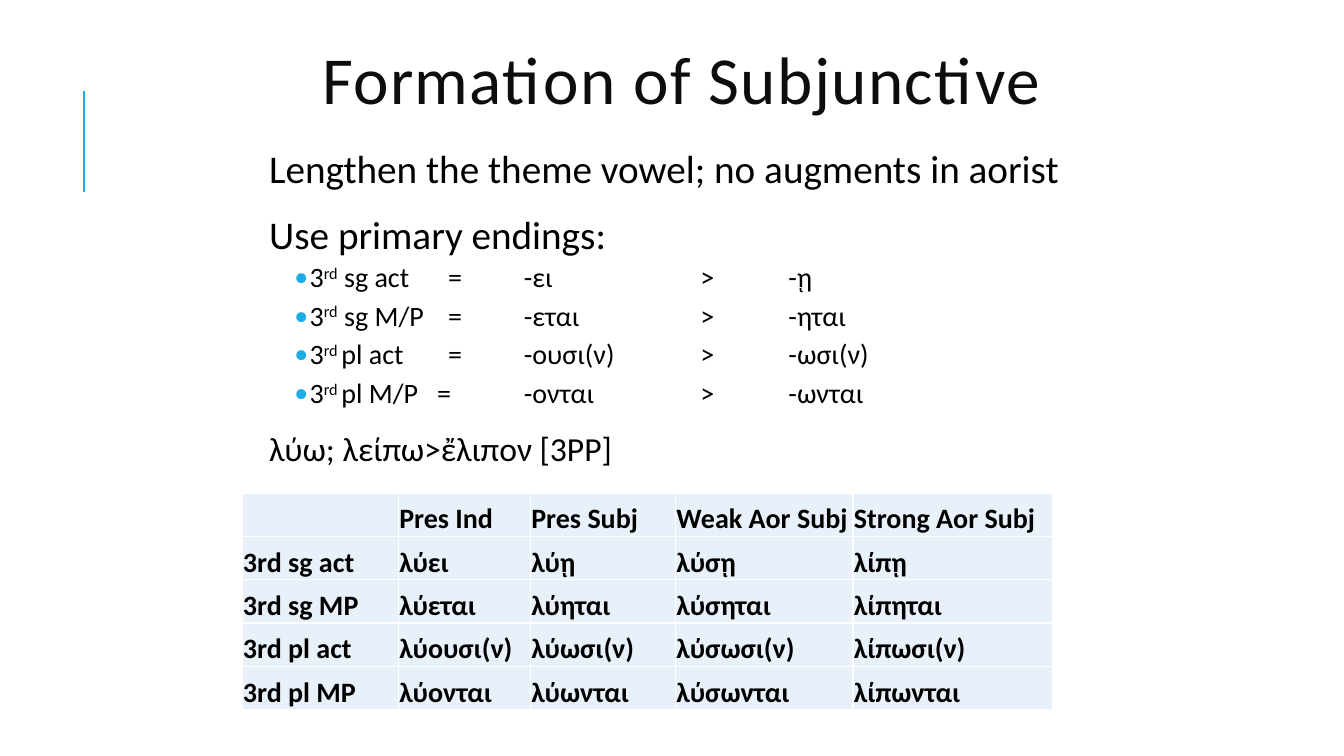
from lxml import etree
from pptx import Presentation
from pptx.dml.color import RGBColor
from pptx.enum.shapes import MSO_CONNECTOR
from pptx.enum.text import MSO_ANCHOR, MSO_AUTO_SIZE, PP_ALIGN
from pptx.oxml.ns import qn
from pptx.util import Inches, Pt

BLUE = RGBColor(0x1C, 0xAD, 0xE4)
INK = RGBColor(0x0D, 0x0D, 0x0D)
BLACK = RGBColor(0, 0, 0)
WHITE = RGBColor(0xFF, 0xFF, 0xFF)
PALE = RGBColor(0xE8, 0xF1, 0xFA)
FONT = "Calibri"

TAB_STEP = 0.875
TAB_STOPS = [TAB_STEP * n for n in range(2, 7)]

# (text, size, line spacing, is a sub-bullet); ^ marks the edges of a superscript
RULES = [
    ("Lengthen the theme vowel; no augments in aorist", 28, 1, False),
    ("Use primary endings:", 28, 1, False),
    ("3^rd^ sg act\t  =\t-ει\t\t>\t-ῃ", 20, 0.9, True),
    ("3^rd^ sg M/P\t  =\t-εται\t\t>\t-ηται", 20, 0.9, True),
    ("3^rd ^pl act\t  =\t-ουσι(ν) \t>\t-ωσι(ν)", 20, 0.9, True),
    ("3^rd ^pl M/P   =\t-ονται\t\t>\t-ωνται", 20, 0.9, True),
    ("λύω; λείπω>ἔλιπον [3PP]", 24, 0.9, False),
]

COL_WIDTHS = [1.55, 1.31, 1.44, 1.76, 1.98]
ROW_HEIGHT = 0.43
FORMS = [
    ["", "Pres Ind", "Pres Subj", "Weak Aor Subj", "Strong Aor Subj"],
    ["3rd sg act", "λύει", "λύῃ", "λύσῃ", "λίπῃ"],
    ["3rd sg MP", "λύεται", "λύηται", "λύσηται", "λίπηται"],
    ["3rd pl act", "λύουσι(ν)", "λύωσι(ν)", "λύσωσι(ν)", "λίπωσι(ν)"],
    ["3rd pl MP", "λύονται", "λύωνται", "λύσωνται", "λίπωνται"],
]


def format_run(r, size, color=BLACK, bold=False):
    r.font.name = FONT
    r.font.size = Pt(size)
    r.font.color.rgb = color
    r.font.bold = bold


def add_child(parent, tag, **attrs):
    return etree.SubElement(parent, qn(tag), attrs)


def add_accent_line(s):
    line = s.shapes.add_connector(MSO_CONNECTOR.STRAIGHT, Inches(0.83), Inches(1.9),
                                  Inches(0.83), Inches(0.9))
    line.line.color.rgb = BLUE
    line.line.width = Pt(1.5)
    add_child(line.element.spPr, "a:effectLst")


def set_title(s, text):
    title = s.shapes.title
    title.left, title.top = Inches(1.14), Inches(0.41)
    title.width, title.height = Inches(11.24), Inches(0.88)
    tf = title.text_frame
    tf.text = text
    tf.auto_size = MSO_AUTO_SIZE.NONE
    tf.vertical_anchor = MSO_ANCHOR.MIDDLE
    p = tf.paragraphs[0]
    p.alignment = PP_ALIGN.CENTER
    p.line_spacing = 0.8
    r = p.runs[0]
    format_run(r, 48, INK)
    r.font._element.set("spc", "100")


def set_bullet(p, char, left, hanging, tab_stops=()):
    pPr = p._p.get_or_add_pPr()
    pPr.set("marL", str(Inches(left)))
    pPr.set("indent", str(-Inches(hanging)))
    add_child(add_child(pPr, "a:buClr"), "a:srgbClr", val=str(BLUE))
    add_child(pPr, "a:buFont", typeface=FONT)
    add_child(pPr, "a:buChar", char=char)
    if tab_stops:
        tabs = add_child(pPr, "a:tabLst")
        for stop in tab_stops:
            add_child(tabs, "a:tab", pos=str(Inches(stop)), algn="l")


def add_rules(s):
    box = s.shapes.add_textbox(Inches(2.52), Inches(1.38), Inches(8.49), Inches(3.12))
    tf = box.text_frame
    tf.word_wrap = True
    tf.margin_left = tf.margin_right = tf.margin_top = tf.margin_bottom = Inches(0.05)
    for i, (text, size, spacing, is_sub) in enumerate(RULES):
        p = tf.add_paragraph() if i else tf.paragraphs[0]
        if is_sub:
            p.level = 1
            set_bullet(p, "•", 0.5, 0.15, TAB_STOPS)
        else:
            set_bullet(p, " ", 0.1, 0.1)
        p.line_spacing = spacing
        p.space_before = Pt(0 if i == 0 else 2 if is_sub else 12)
        p.space_after = Pt(4 if is_sub else 2)
        for n, part in enumerate(text.split("^")):
            r = p.add_run()
            r.text = part
            format_run(r, size)
            if n == 1:
                r.font._element.set("baseline", "30000")


def format_cell(cell, text):
    tcPr = cell._tc.get_or_add_tcPr()
    for side in ("a:lnL", "a:lnR", "a:lnT", "a:lnB"):
        border = add_child(tcPr, side, w=str(Pt(1)))
        add_child(add_child(border, "a:solidFill"), "a:srgbClr", val=str(WHITE))
    cell.fill.solid()
    cell.fill.fore_color.rgb = PALE
    cell.vertical_anchor = MSO_ANCHOR.BOTTOM
    cell.margin_left = cell.margin_right = cell.margin_top = Inches(0.01)
    cell.margin_bottom = 0
    cell.text = text
    for r in cell.text_frame.paragraphs[0].runs:
        format_run(r, 20, bold=True)


def add_forms_table(s):
    frame = s.shapes.add_table(len(FORMS), len(COL_WIDTHS), Inches(2.4), Inches(4.89),
                               Inches(sum(COL_WIDTHS)), Inches(ROW_HEIGHT * len(FORMS)))
    table = frame.table
    table.first_row = table.horz_banding = False
    for column, width in zip(table.columns, COL_WIDTHS):
        column.width = Inches(width)
    for row, texts in zip(table.rows, FORMS):
        row.height = Inches(ROW_HEIGHT)
        for cell, text in zip(row.cells, texts):
            format_cell(cell, text)


def main():
    prs = Presentation()
    prs.slide_width, prs.slide_height = Inches(13.33), Inches(7.5)
    s = prs.slides.add_slide(prs.slide_layouts[5])
    add_accent_line(s)
    set_title(s, "Formation of Subjunctive")
    add_rules(s)
    add_forms_table(s)
    prs.save("out.pptx")


if __name__ == "__main__":
    main()
